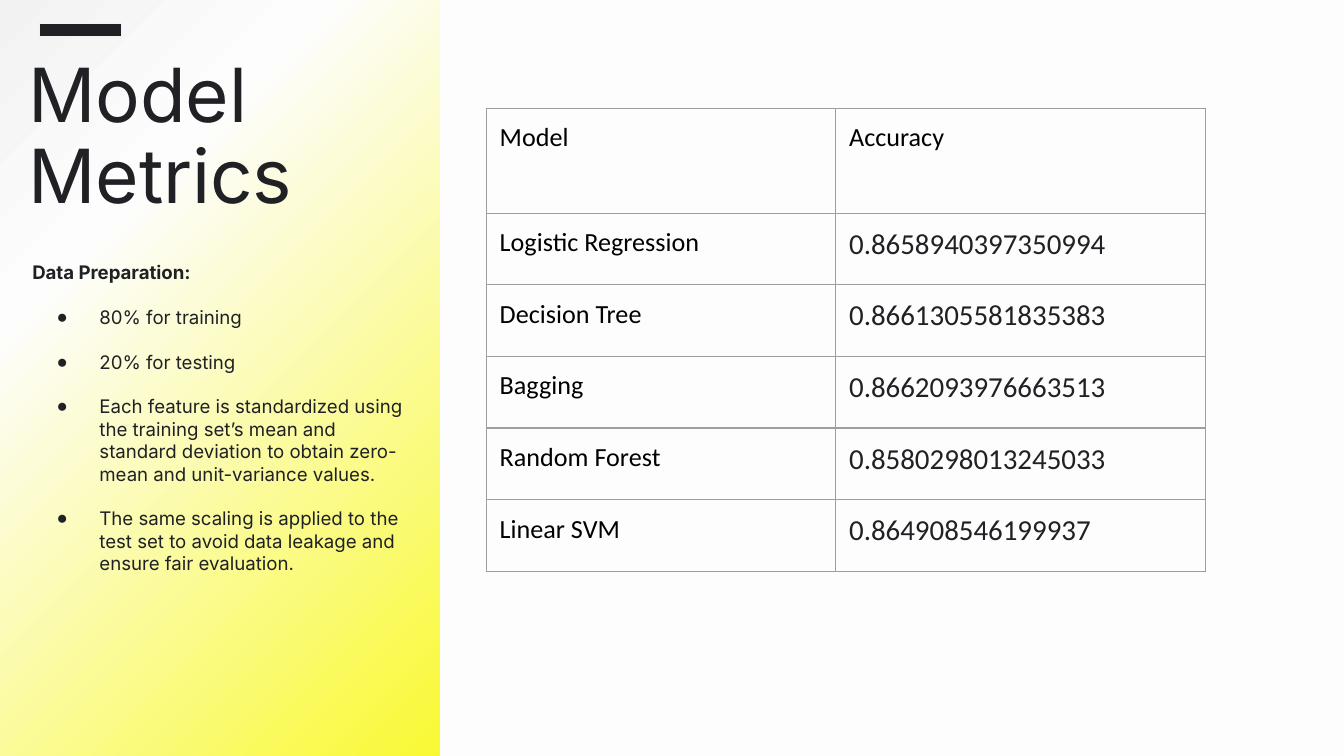
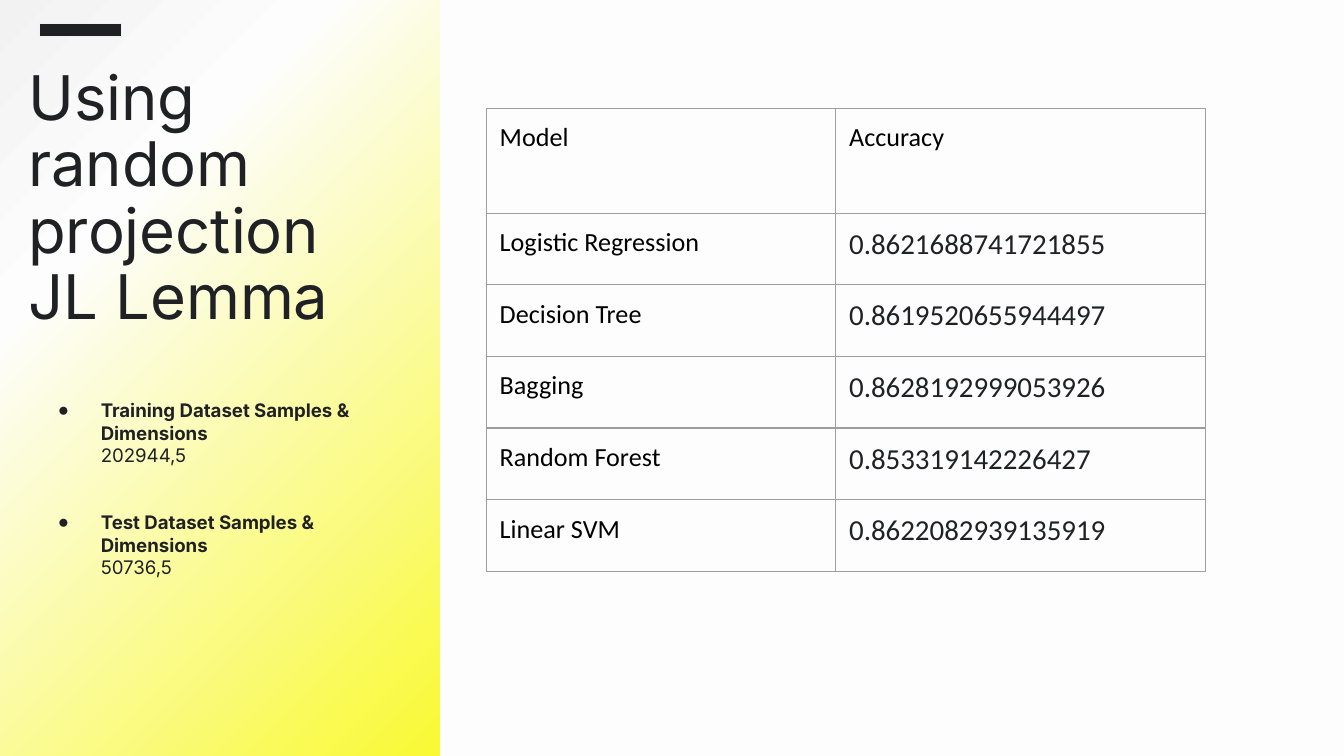
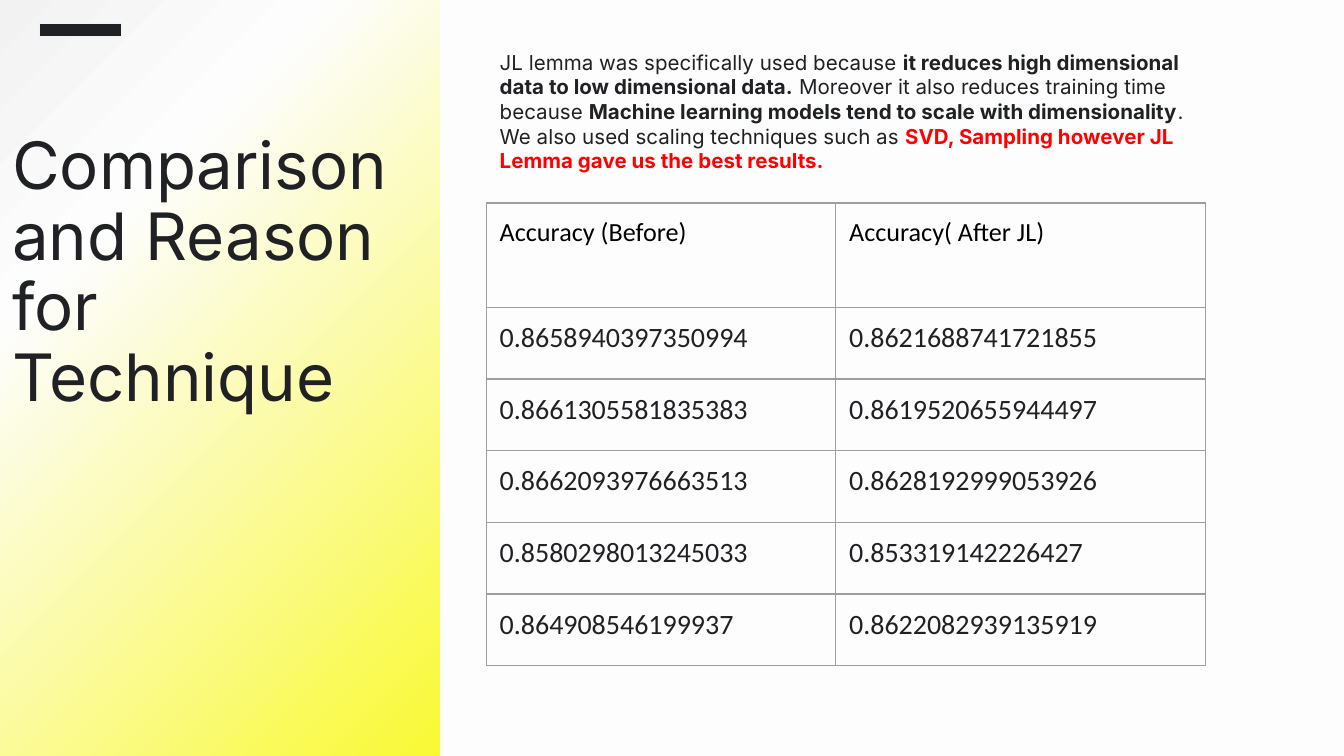
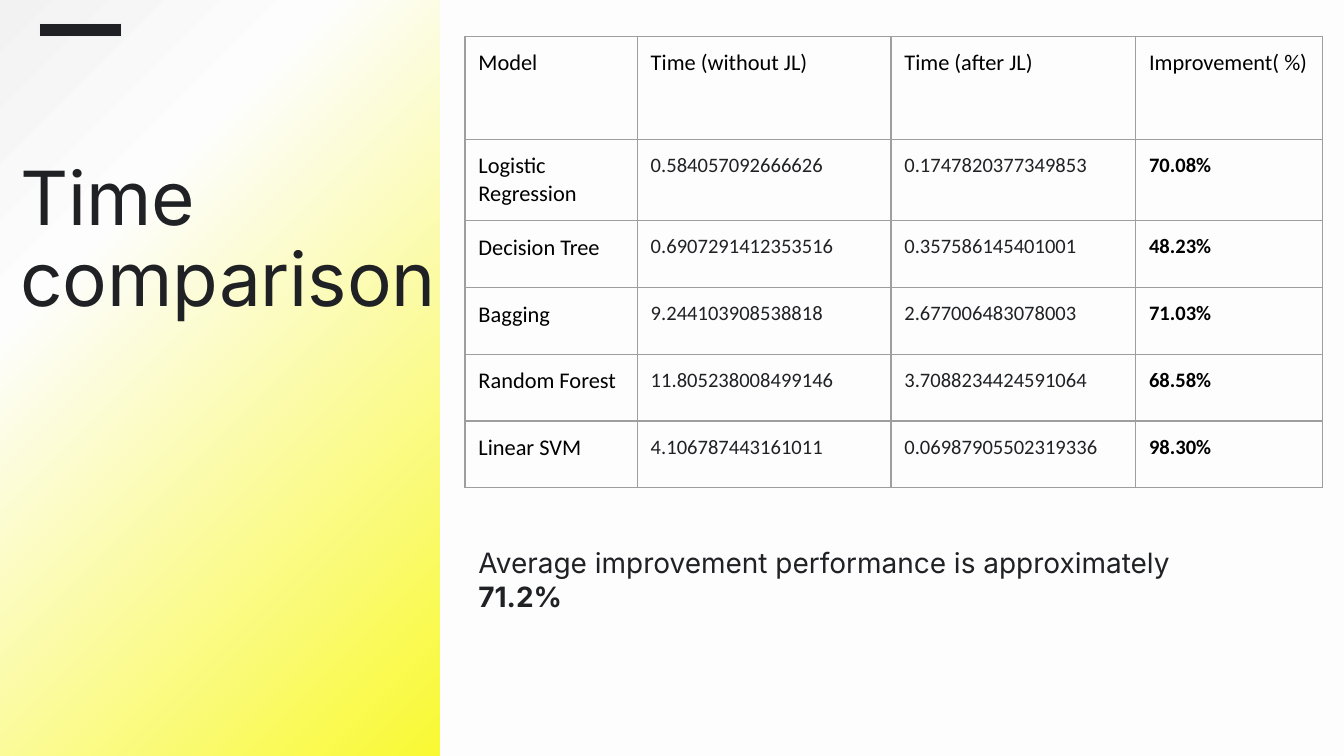
from copy import deepcopy

from pptx import Presentation
from pptx.dml.color import RGBColor
from pptx.enum.shapes import MSO_SHAPE
from pptx.enum.text import MSO_ANCHOR, MSO_AUTO_SIZE, PP_ALIGN
from pptx.oxml import parse_xml
from pptx.oxml.ns import nsdecls, qn
from pptx.util import Pt

INK, BLACK, RED = "202124", "000000", "FF0000"
PAPER, MIST, YELLOW, RULE = "FDFDFD", "F2F2F2", "F9F933", "9E9E9E"
NO_STYLE = "{2D5ABB26-0587-4C30-8999-92F81FD0307C}"


def rgb(hex_code):
    return RGBColor.from_string(hex_code)


def set_type(font, face, size, hex_code, bold=None):
    font.name = face
    font.size = Pt(size)
    font.color.rgb = rgb(hex_code)
    font.bold = bold


models = ["Logistic Regression", "Decision Tree", "Bagging", "Random Forest", "Linear SVM"]
before = ["0.8658940397350994", "0.8661305581835383", "0.8662093976663513",
          "0.8580298013245033", "0.864908546199937"]
after = ["0.8621688741721855", "0.8619520655944497", "0.8628192999053926",
         "0.853319142226427", "0.8622082939135919"]
time_before = ["0.584057092666626", "0.6907291412353516", "9.244103908538818",
               "11.805238008499146", "4.106787443161011"]
time_after = ["0.1747820377349853", "0.357586145401001", "2.677006483078003",
              "3.7088234424591064", "0.06987905502319336"]
improvement = ["70.08%", "48.23%", "71.03%", "68.58%", "98.30%"]

accuracy_columns = [187.2, 198]
accuracy_rows = [56, 38.4]

pages = [
    {
        "title": "Model\nMetrics", "title_size": 40, "title_at": (15.1, 23.8, 202.3, 136),
        "body_at": (10.1, 132.5, 213.1, 224.6), "body_size": 10,
        "body": [
            ("plain", 0, [("Data Preparation:", True, INK)]),
            ("bullet", 12, [("80% for training", False, INK)]),
            ("bullet", 12, [("20% for testing", False, INK)]),
            ("bullet", 12, [("Each feature is standardized using the training set’s mean and "
                             "standard deviation to obtain zero-mean and unit-variance values.",
                             False, INK)]),
            ("bullet", 12, [("The same scaling is applied to the test set to avoid data leakage "
                             "and ensure fair evaluation.", False, INK)]),
        ],
        "header": ["Model", "Accuracy"], "columns": [models, before],
        "table_at": (260.5, 58.2), "widths": accuracy_columns, "heights": accuracy_rows,
        "label_size": 14, "value_size": 15.5,
    },
    {
        "title": "Using random projection\nJL Lemma", "title_size": 33,
        "title_at": (15.1, 28.8, 205.2, 156.2),
        "body_at": (10.8, 206.5, 188.6, 152), "body_size": 10,
        "body": [
            ("bullet", 0, [("Training Dataset Samples & Dimensions", True, INK)]),
            ("indent", 0, [("202944,5", False, INK)]),
            ("bullet", 24, [("Test Dataset Samples & Dimensions", True, INK)]),
            ("indent", 0, [("50736,5", False, INK)]),
        ],
        "header": ["Model", "Accuracy"], "columns": [models, after],
        "table_at": (260.5, 58.2), "widths": accuracy_columns, "heights": accuracy_rows,
        "label_size": 14, "value_size": 15.5,
    },
    {
        "title": "Comparison and Reason for Technique", "title_size": 35,
        "title_at": (6.5, 64.1, 204.5, 136),
        "body_at": (260.5, 19.4, 385.2, 89.3), "body_size": 11,
        "body": [
            ("plain", 0, [
                ("JL lemma was specifically used because ", False, INK),
                ("it reduces high dimensional data to low dimensional data.", True, INK),
                (" Moreover it also reduces training time because ", False, INK),
                ("Machine learning models tend to scale with dimensionality", True, INK),
                (". We also used scaling techniques such as ", False, INK),
                ("SVD, Sampling however JL Lemma gave us the best results.", True, RED),
            ]),
        ],
        "header": ["Accuracy (Before)", "Accuracy( After JL)"], "columns": [before, after],
        "table_at": (260.5, 108.7), "widths": accuracy_columns, "heights": accuracy_rows,
        "label_size": 14, "value_size": 15,
    },
    {
        "title": "Time comparison", "title_size": 40, "title_at": (10.8, 79.2, 229.7, 136),
        "body_at": (249.1, 285.1, 404.6, 88.6), "body_size": 15,
        "body": [
            ("plain", 0, [("Average improvement performance is approximately ", False, INK),
                          ("71.2%", True, INK)]),
        ],
        "header": ["Model", "Time (without JL)", "Time (after JL)", "Improvement( %)"],
        "columns": [models, time_before, time_after, improvement],
        "table_at": (249.1, 19.4), "widths": [92.3, 135.9, 131.1, 100.1], "heights": [55.2, 35.75],
        "label_size": 12, "value_size": 11,
    },
]

prs = Presentation()
prs.slide_width, prs.slide_height = Pt(720), Pt(405)
layout = prs.slide_layouts[1]
master_fill = prs.slide_master.background.fill
master_fill.solid()
master_fill.fore_color.rgb = rgb(PAPER)

for page in pages:
    slide = prs.slides.add_slide(layout)

    title, body = slide.shapes.title, slide.placeholders[1]
    for part, place, side in ((title, page["title_at"], 0), (body, page["body_at"], 7.2)):
        part.left, part.top, part.width, part.height = [Pt(n) for n in place]
        frame = part.text_frame
        frame.word_wrap = True
        frame.auto_size = MSO_AUTO_SIZE.NONE
        frame.vertical_anchor = MSO_ANCHOR.TOP
        frame.margin_left = frame.margin_right = Pt(side)
        frame.margin_top = frame.margin_bottom = Pt(7.2)

    title.text_frame.text = page["title"]
    for line in title.text_frame.paragraphs:
        line.alignment = PP_ALIGN.LEFT
        line.line_spacing = 0.9
        set_type(line.font, "Inter", page["title_size"], INK)

    for index, (kind, gap, runs) in enumerate(page["body"]):
        frame = body.text_frame
        item = frame.paragraphs[0] if index == 0 else frame.add_paragraph()
        item.space_before = Pt(gap)
        props = item._p.get_or_add_pPr()
        props.set("marL", str(Pt(0 if kind == "plain" else 36)))
        props.set("indent", str(Pt(-23 if kind == "bullet" else 0)))
        if kind == "bullet":
            props.append(parse_xml(f'<a:buClr {nsdecls("a")}><a:srgbClr val="{INK}"/></a:buClr>'))
            props.append(parse_xml(f'<a:buChar {nsdecls("a")} char="●"/>'))
        else:
            props.append(parse_xml(f'<a:buNone {nsdecls("a")}/>'))
        set_type(item.font, "Inter", page["body_size"], INK, runs[0][1])
        for text, bold, hex_code in runs:
            run = item.add_run()
            run.text = text
            if bold != runs[0][1]:
                run.font.bold = bold
            if hex_code != INK:
                run.font.color.rgb = rgb(hex_code)

    rows = [page["header"], *zip(*page["columns"])]
    left, top = page["table_at"]
    header_height, row_height = page["heights"]
    grid = slide.shapes.add_table(
        len(rows), len(page["header"]), Pt(left), Pt(top), Pt(sum(page["widths"])),
        Pt(header_height + row_height * len(models)))
    table = grid.table
    table.first_row = table.horz_banding = False
    table._tbl.tblPr.find(qn("a:tableStyleId")).text = NO_STYLE
    for column, width in zip(table.columns, page["widths"]):
        column.width = Pt(width)
    for r, values in enumerate(rows):
        table.rows[r].height = Pt(row_height if r else header_height)
        for c, value in enumerate(values):
            cell = table.cell(r, c)
            cell.text = value
            cell.margin_left = cell.margin_right = cell.margin_top = cell.margin_bottom = Pt(7.2)
            for edge in ("lnL", "lnR", "lnT", "lnB"):
                cell._tc.get_or_add_tcPr().append(parse_xml(
                    f'<a:{edge} {nsdecls("a")} w="{Pt(0.75)}"><a:solidFill>'
                    f'<a:srgbClr val="{RULE}"/></a:solidFill></a:{edge}>'))
            cell.fill.background()
            is_label = r == 0 or value in models
            is_percent = value in improvement
            set_type(cell.text_frame.paragraphs[0].font, "Calibri",
                     page["label_size"] if is_label else page["value_size"],
                     BLACK if is_label or is_percent else INK, is_percent)

    accent = slide.shapes.add_shape(MSO_SHAPE.RECTANGLE, Pt(20.9), Pt(12.6), Pt(44.4), Pt(7))
    accent.shadow.inherit = False
    accent.fill.solid()
    accent.fill.fore_color.rgb = rgb(INK)
    accent.line.color.rgb = rgb(MIST)
    accent.line.width = Pt(0.75)

side_band = slide.shapes.add_shape(MSO_SHAPE.RECTANGLE, Pt(-2), Pt(0), Pt(237.6), Pt(406))
side_band.shadow.inherit = False
side_band.line.fill.background()
side_band.fill.gradient()
side_band.fill.gradient_angle = 315
stop_list = side_band._element.spPr.find(".//" + qn("a:gsLst"))
stop_list.insert(1, deepcopy(stop_list[0]))
for stop, position, hex_code in zip(side_band.fill.gradient_stops, (0, 0.28, 1),
                                    (MIST, PAPER, YELLOW)):
    stop.position = position
    stop.color.rgb = rgb(hex_code)
side_band._element.nvSpPr.cNvPr.id = 20
layout.shapes.element.insert(2, side_band._element)

prs.save("out.pptx")
